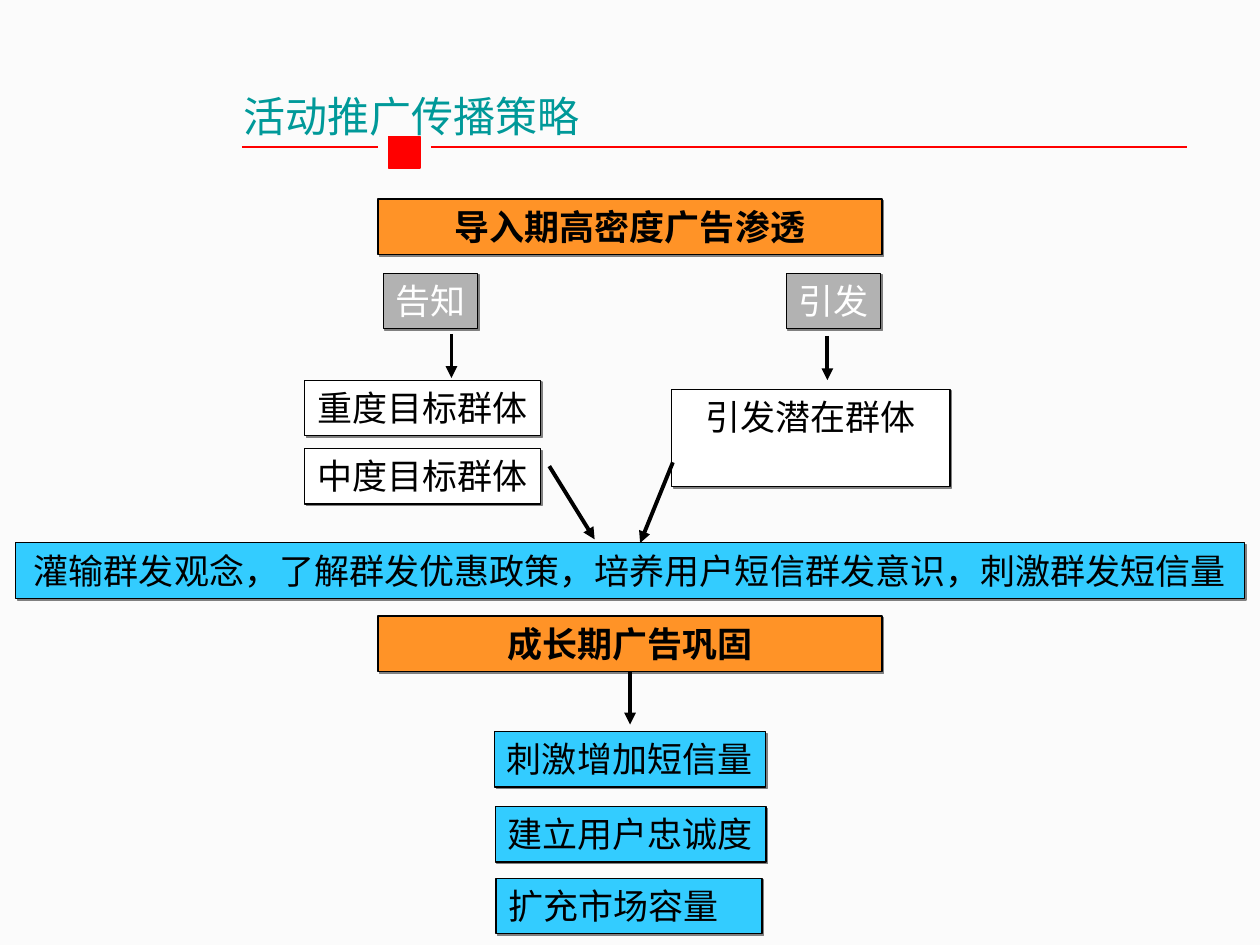
from dataclasses import dataclass
from typing import Optional

from lxml.etree import SubElement
from pptx import Presentation
from pptx.dml.color import RGBColor
from pptx.enum.shapes import MSO_CONNECTOR, MSO_SHAPE
from pptx.enum.text import MSO_ANCHOR, PP_ALIGN
from pptx.oxml.ns import qn
from pptx.shapes.autoshape import Shape
from pptx.shapes.connector import Connector
from pptx.slide import Slide
from pptx.util import Pt


@dataclass(frozen=True)
class Theme:
    background: str = "FBFBFB"
    accent: str = "FF0000"
    title: str = "009999"
    ink: str = "000000"
    white: str = "FFFFFF"
    gray: str = "B2B2B2"
    orange: str = "FF9327"
    blue: str = "33CCFF"
    shadow: str = "808080"
    latin_font: str = "Times New Roman"
    chinese_font: str = "Noto Sans CJK SC"
    title_size: float = 24
    body_size: float = 20
    border: float = 0.75
    rule: float = 1.5
    arrow: float = 2.25


THEME = Theme()
ROW_HEIGHT = 31.7


@dataclass(frozen=True)
class Box:
    text: str
    left: float
    top: float
    width: float
    fill: str
    height: float = ROW_HEIGHT
    color: str = THEME.ink
    bold: bool = False
    centered: bool = False
    wrap: bool = False


@dataclass(frozen=True)
class Arrow:
    start: tuple[float, float]
    end: tuple[float, float]
    source: Optional[str] = None


INTRODUCTION = "导入期高密度广告渗透"
GROWTH = "成长期广告巩固"

BOXES = [
    Box("中度目标群体", 174.2, 256.3, 134.6, THEME.white),
    Box("重度目标群体", 174.2, 217.4, 134.6, THEME.white),
    Box("引发潜在群体", 383.8, 222.5, 159.1, THEME.white, height=55.4,
        centered=True, wrap=True),
    Box("告知", 219, 156.2, 54, THEME.gray, color=THEME.white),
    Box("引发", 449.3, 156.2, 54, THEME.gray, color=THEME.white),
    Box(INTRODUCTION, 216, 113.8, 288, THEME.orange,
        bold=True, centered=True, wrap=True),
    Box(GROWTH, 216, 352.1, 288, THEME.orange,
        bold=True, centered=True, wrap=True),
    Box("刺激增加短信量", 282.6, 418.1, 154.8, THEME.blue),
    Box("建立用户忠诚度", 283, 461, 154.8, THEME.blue),
    Box("扩充市场容量", 283.5, 502, 151.9, THEME.blue, wrap=True),
    Box("灌输群发观念，了解群发优惠政策，培养用户短信群发意识，刺激群发短信量",
        9, 310.2, 702, THEME.blue, centered=True, wrap=True),
]

ARROWS = [
    Arrow((258, 190.8), (258, 216)),
    Arrow((472.8, 192), (472.8, 217.2)),
    Arrow((313.9, 266.4), (339.8, 308.2)),
    Arrow((384.5, 264.2), (365.8, 310.3)),
    Arrow((360, 383.8), (360, 414), source=GROWTH),
]


def write_text(shape: Shape, text: str, *, size: float, color: str, font: str,
               bold: bool = False, centered: bool = False,
               wrap: bool = True) -> None:
    frame = shape.text_frame
    frame.word_wrap = wrap
    frame.vertical_anchor = MSO_ANCHOR.TOP
    paragraph = frame.paragraphs[0]
    paragraph.alignment = PP_ALIGN.CENTER if centered else PP_ALIGN.LEFT
    run = paragraph.add_run()
    run.text = text
    run.font.size = Pt(size)
    run.font.bold = bold
    run.font.name = font
    run.font.color.rgb = RGBColor.from_string(color)
    SubElement(run.font._element, qn("a:ea"), typeface=THEME.chinese_font)


def add_rectangle(slide: Slide, left: float, top: float, width: float,
                  height: float, fill: str, line: str) -> Shape:
    shape = slide.shapes.add_shape(
        MSO_SHAPE.RECTANGLE, Pt(left), Pt(top), Pt(width), Pt(height))
    shape.shadow.inherit = False
    shape.fill.solid()
    shape.fill.fore_color.rgb = RGBColor.from_string(fill)
    shape.line.color.rgb = RGBColor.from_string(line)
    shape.line.width = Pt(THEME.border)
    return shape


def add_box(slide: Slide, box: Box) -> Shape:
    shape = add_rectangle(slide, box.left, box.top, box.width, box.height,
                          box.fill, THEME.ink)
    effects = shape._element.spPr.find(qn("a:effectLst"))
    shadow = SubElement(effects, qn("a:outerShdw"), dist=str(Pt(1.4)),
                        dir="2700000", algn="ctr", rotWithShape="0")
    SubElement(shadow, qn("a:srgbClr"), val=THEME.shadow)
    write_text(shape, box.text, size=THEME.body_size, color=box.color,
               font=THEME.latin_font, bold=box.bold, centered=box.centered,
               wrap=box.wrap)
    return shape


def add_line(slide: Slide, start: tuple[float, float],
             end: tuple[float, float], color: str, width: float) -> Connector:
    connector = slide.shapes.add_connector(
        MSO_CONNECTOR.STRAIGHT, *(Pt(value) for value in (*start, *end)))
    connector.line.color.rgb = RGBColor.from_string(color)
    connector.line.width = Pt(width)
    SubElement(connector._element.spPr, qn("a:effectLst"))
    return connector


def add_arrow(slide: Slide, arrow: Arrow, shapes: dict[str, Shape]) -> None:
    connector = add_line(slide, arrow.start, arrow.end, THEME.ink, THEME.arrow)
    SubElement(connector.line._get_or_add_ln(), qn("a:tailEnd"), type="triangle")
    if arrow.source:
        connector.begin_connect(shapes[arrow.source], 2)


def add_heading(slide: Slide) -> None:
    for left, right in ((246.2, 678.2), (138.2, 216)):
        add_line(slide, (left, 84), (right, 84), THEME.accent, THEME.rule)
    add_rectangle(slide, 222, 78, 18, 18, THEME.accent, THEME.accent)
    title = slide.shapes.add_textbox(Pt(132), Pt(48), Pt(210), Pt(48))
    write_text(title, "活动推广传播策略", size=THEME.title_size,
               color=THEME.title, font=THEME.chinese_font)


def main() -> None:
    presentation = Presentation()
    presentation.slide_width = Pt(720)
    presentation.slide_height = Pt(540)
    slide = presentation.slides.add_slide(presentation.slide_layouts[6])
    slide.background.fill.solid()
    slide.background.fill.fore_color.rgb = RGBColor.from_string(THEME.background)
    add_heading(slide)
    shapes = {box.text: add_box(slide, box) for box in BOXES}
    for arrow in ARROWS:
        add_arrow(slide, arrow, shapes)
    presentation.save("out.pptx")


if __name__ == "__main__":
    main()
